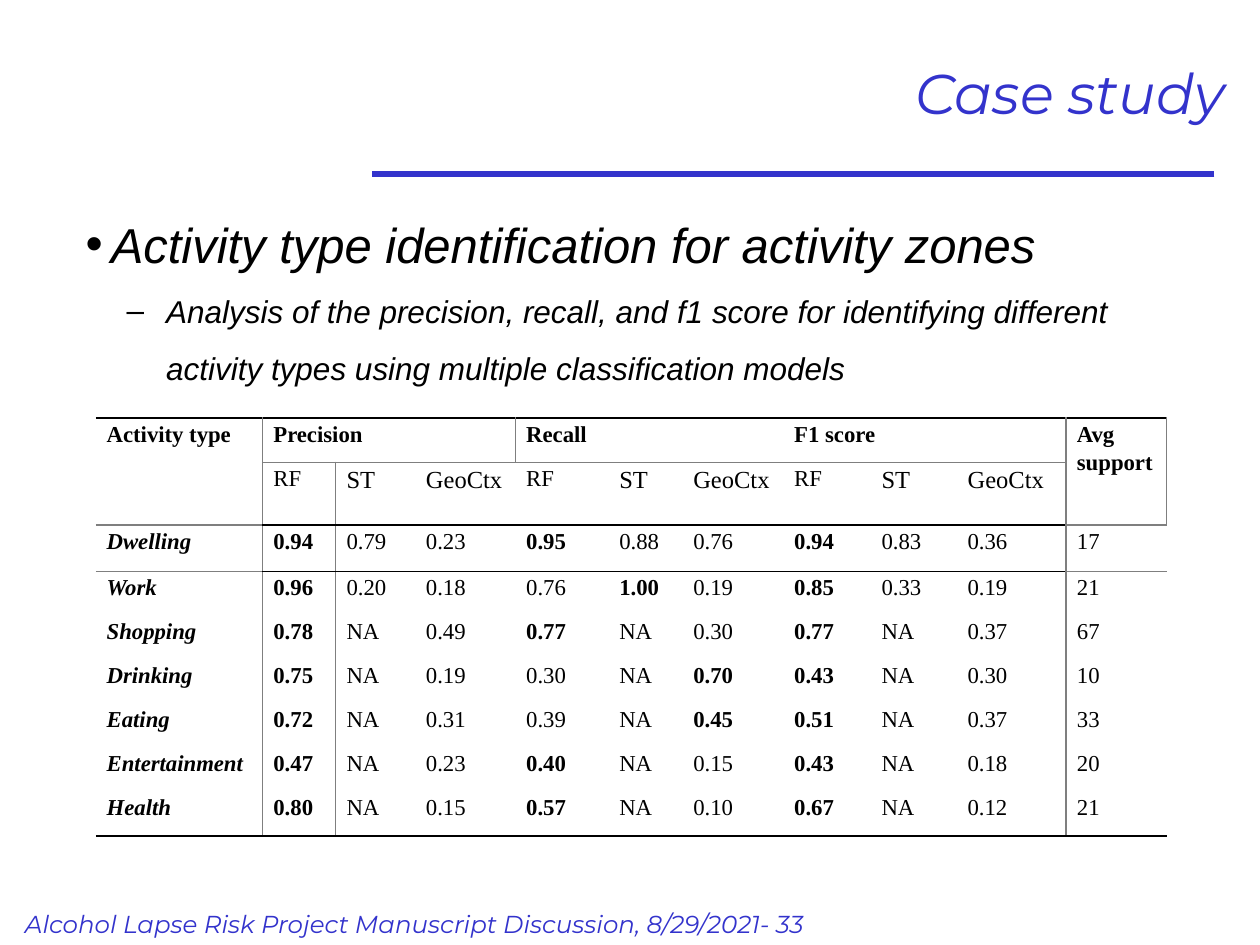
from lxml import etree
from pptx import Presentation
from pptx import util as u
from pptx.dml.color import RGBColor
from pptx.enum import shapes, text
from pptx.oxml import ns

Pt = u.Pt
BLUE, BLACK, GRAY = "3333CC", "000000", "7F7F7F"


def color(code):
    return RGBColor.from_string(code)


def write(para, words, code=BLACK, para_format=None, **font_format):
    for name, value in (para_format or {}).items():
        setattr(para, name, value)
    span = para.add_run()
    span.text = words
    span.font.color.rgb = color(code)
    for name, value in font_format.items():
        setattr(span.font, name, value)


deck = Presentation()
deck.slide_width, deck.slide_height = Pt(720), Pt(540)
page = deck.slides.add_slide(deck.slide_layouts[6])

# Rule under the title
rule = page.shapes.add_connector(shapes.MSO_CONNECTOR.STRAIGHT, Pt(694), Pt(99.4), Pt(212.4), Pt(99.4))
rule.line.color.rgb = color(BLUE)
rule.line.width = Pt(3)
etree.SubElement(rule._element.spPr, ns.qn("a:effectLst"))

# Footer, title and body boxes
frames = {}
for part, bounds in {
    "footer": (7.2, 516.2, 524, 24.5),
    "title": (53.3, 10.1, 653.8, 85),
    "body": (41.8, 102.2, 653.8, 396),
}.items():
    box = page.shapes.add_textbox(*map(Pt, bounds))
    frames[part] = box.text_frame
    box.text_frame.word_wrap = True
frames["title"].vertical_anchor = text.MSO_ANCHOR.MIDDLE

write(frames["footer"].paragraphs[0], "Alcohol Lapse Risk Project Manuscript Discussion, 8/29/2021- 33",
      BLUE, size=Pt(14), name="Montserrat", italic=True)
write(frames["title"].paragraphs[0], "Case study", BLUE, {"alignment": text.PP_ALIGN.RIGHT},
      size=Pt(32), name="Montserrat", italic=True)

# Bulleted body: level, bullet, size, left margin, hanging indent, words
body = frames["body"]
for level, bullet, size, margin, hanging, words in [
    (0, "•", 28, 14.4, 14.4, "Activity type identification for activity zones"),
    (1, "–", 18, 46, 22.5, "Analysis of the precision, recall, and f1 score for identifying "
                           "different activity types using multiple classification models"),
]:
    para = body.add_paragraph() if level else body.paragraphs[0]
    write(para, words, para_format={"level": level, "line_spacing": 1.5},
          size=Pt(size), name="Arial", italic=True)
    properties = para._p.get_or_add_pPr()
    properties.set("marL", str(Pt(margin)))
    properties.set("indent", str(-Pt(hanging)))
    etree.SubElement(properties, ns.qn("a:buFont"), typeface="Arial")
    etree.SubElement(properties, ns.qn("a:buChar"), char=bullet)

# Score table
metrics = ["Precision", "Recall", "F1 score"]
models = ["RF", "ST", "GeoCtx"]
scores = [
    "Dwelling 0.94 0.79 0.23 0.95 0.88 0.76 0.94 0.83 0.36 17",
    "Work 0.96 0.20 0.18 0.76 1.00 0.19 0.85 0.33 0.19 21",
    "Shopping 0.78 NA 0.49 0.77 NA 0.30 0.77 NA 0.37 67",
    "Drinking 0.75 NA 0.19 0.30 NA 0.70 0.43 NA 0.30 10",
    "Eating 0.72 NA 0.31 0.39 NA 0.45 0.51 NA 0.37 33",
    "Entertainment 0.47 NA 0.23 0.40 NA 0.15 0.43 NA 0.18 20",
    "Health 0.80 NA 0.15 0.57 NA 0.10 0.67 NA 0.12 21",
]
rows = [["Activity type"] + [word for metric in metrics for word in (metric, "", "")] + ["Avg support"],
        [""] + models * len(metrics) + [""]]
rows += [line.split() for line in scores]
widths = [95.3, 41.8, 45.4, 57.3, 53.2, 42.3, 57.7, 49.9, 49.2, 62.5, 57.4]
heights = [25.2, 26.4, 26.4] + [25.2] * 6
last_row, last_column = len(rows) - 1, len(widths) - 1

frame = page.shapes.add_table(len(rows), len(widths), Pt(54.8), Pt(239), Pt(sum(widths)), Pt(sum(heights)))
table = frame.table
table.first_row = table.horz_banding = False
NO_STYLE = "{2D5ABB26-0587-4C30-8999-92F81FD0307C}"
table._tbl.tblPr.find(ns.qn("a:tableStyleId")).text = NO_STYLE
for column, width in zip(table.columns, widths):
    column.width = Pt(width)
for row, height in zip(table.rows, heights):
    row.height = Pt(height)
for c in (0, last_column):
    table.cell(0, c).merge(table.cell(1, c))
for c in (1, 4, 7):
    table.cell(0, c).merge(table.cell(0, c + 2))

for r, values in enumerate(rows):
    for c, value in enumerate(values):
        cell = table.cell(r, c)
        if cell.is_spanned:
            continue
        outer = c in (0, last_column)
        bold = r == 0 or (r > 1 and c == 0)
        if r > 1 and not outer:
            # The best model for each metric stands out
            first = c - (c - 1) % 3
            bold = value == max(v for v in values[first:first + 3] if v != "NA")
        for side in ("left", "right"):
            setattr(cell, f"margin_{side}", Pt(6.2))
        cell.margin_top = cell.margin_bottom = 0
        write(cell.text_frame.paragraphs[0], value,
              para_format={"alignment": text.PP_ALIGN.JUSTIFY, "line_spacing": 1.15, "space_before": Pt(6)},
              size=Pt(14 if r == 1 and value != "RF" else 13), name="Times New Roman",
              bold=bold, italic=r > 1 and c == 0)

        # Borders: black frame and header line, gray dividers
        end_row, end_column = r + cell.span_height - 1, c + cell.span_width - 1
        header_line = GRAY if outer else BLACK
        edges = {
            "lnL": GRAY if c in (1, last_column) else None,
            "lnR": GRAY if end_column in (0, last_column - 1) else None,
            "lnT": {0: BLACK, 1: GRAY, 2: header_line}.get(r),
            "lnB": {0: GRAY, 1: header_line, last_row: BLACK}.get(end_row),
        }
        properties = cell._tc.get_or_add_tcPr()
        for edge, code in edges.items():
            if code:
                line = etree.SubElement(properties, ns.qn(f"a:{edge}"), w=str(Pt(1)))
                fill = etree.SubElement(line, ns.qn("a:solidFill"))
                etree.SubElement(fill, ns.qn("a:srgbClr"), val=code)
        cell.fill.background()

deck.save("out.pptx")
